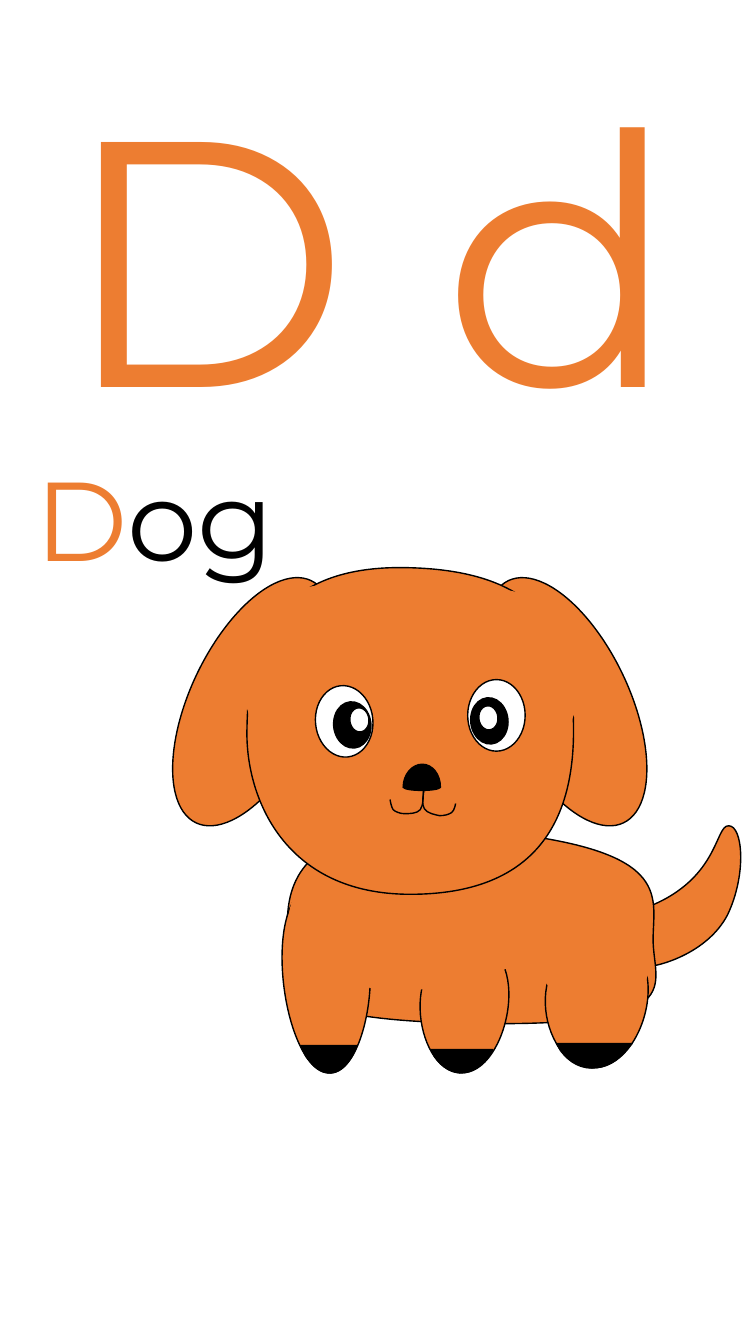
from lxml.etree import SubElement
from pptx import Presentation
from pptx.dml.color import RGBColor
from pptx.enum.shapes import MSO_SHAPE
from pptx.enum.text import MSO_AUTO_SIZE
from pptx.oxml.ns import qn
from pptx.util import Inches, Pt

ORANGE = RGBColor(0xED, 0x7D, 0x31)
BLACK = RGBColor(0, 0, 0)
WHITE = RGBColor(255, 255, 255)
STEPS = 20

# Outlines: a start point, then lines (x, y) or Bezier curves (three points).
TAIL = [(6.36, 9.02), (7.14, 8.75, 7.09, 8.18, 7.23, 8.19),
        (7.37, 8.19, 7.41, 8.67, 7.22, 9.07),
        (7.02, 9.46, 6.51, 9.6, 6.37, 9.59),
        (6.23, 9.58, 5.58, 9.29, 6.36, 9.02)]
BODY = [(2.85, 9.32), (2.86, 9, 2.7, 8.05, 4.7, 8.23),
        (6.71, 8.4, 6.48, 8.87, 6.48, 9.32),
        (6.48, 9.78, 6.88, 10.19, 4.67, 10.15),
        (2.45, 10.11, 2.85, 9.64, 2.85, 9.32)]
LEGS = [
    [(5.92, 10.59), (5.37, 10.65, 5.12, 9.42, 5.92, 9.32),
     (6.72, 9.23, 6.47, 10.54, 5.92, 10.59)],
    [(4.61, 10.64), (4.13, 10.7, 3.92, 9.47, 4.61, 9.37),
     (5.3, 9.28, 5.08, 10.59, 4.61, 10.64)],
    [(3.24, 10.64), (3.71, 10.72, 3.92, 8.92, 3.24, 8.78),
     (2.55, 8.63, 2.76, 10.55, 3.24, 10.64)],
]
CHEST = [(5.42, 9.19), (5.6, 8.4, 3.18, 7.83, 2.89, 8.98),
         (2.59, 10.13, 5.23, 9.98, 5.42, 9.19)]
HEAD = [(2.45, 7.25), (2.46, 6.6, 2.57, 5.61, 4.01, 5.63),
        (5.44, 5.65, 5.69, 6.36, 5.69, 7.25),
        (5.69, 8.15, 5.31, 8.87, 4.07, 8.87),
        (2.82, 8.87, 2.44, 7.91, 2.45, 7.25)]
# Patches that hide the seams at the ears and the hip.
SEAMS = [
    [(3.83, 6.78), (4.1, 5.96, 2.9, 5.26, 2.5, 6.45),
     (2.09, 7.64, 3.56, 7.6, 3.83, 6.78)],
    [(4.33, 6.83), (4.06, 6.01, 5.25, 5.3, 5.65, 6.49),
     (6.06, 7.68, 4.6, 7.64, 4.33, 6.83)],
    [(5.96, 10.02), (6.56, 9.99, 6.7, 9.03, 5.83, 9.08),
     (4.96, 9.12, 5.36, 10.06, 5.96, 10.02)],
]
PAWS = [
    [(4.28, 10.41), (4.89, 10.41), (4.84, 10.49),
     (4.77, 10.57, 4.69, 10.63, 4.6, 10.64),
     (4.49, 10.65, 4.39, 10.59, 4.31, 10.48), (4.28, 10.41)],
    [(5.52, 10.35), (6.27, 10.35), (6.2, 10.43),
     (6.12, 10.52, 6.02, 10.58, 5.92, 10.59),
     (5.77, 10.61, 5.65, 10.54, 5.56, 10.42), (5.52, 10.35)],
    [(3.54, 10.37), (2.98, 10.37), (3.03, 10.47),
     (3.09, 10.56, 3.16, 10.63, 3.24, 10.64),
     (3.35, 10.66, 3.44, 10.58, 3.51, 10.45), (3.54, 10.37)],
]
NOSE = [(4.37, 7.81), (4.37, 7.68, 4.29, 7.58, 4.19, 7.58),
        (4.09, 7.58, 4, 7.68, 4, 7.81),
        (4.03, 7.85, 4.34, 7.85, 4.37, 7.81)]
MOUTH = [
    [(4.21, 7.81), (4.2, 7.89, 4.18, 7.98, 4.21, 8.02),
     (4.24, 8.07, 4.32, 8.08, 4.36, 8.09),
     (4.41, 8.09, 4.45, 8.08, 4.48, 8.06),
     (4.51, 8.04, 4.52, 7.97, 4.52, 7.97)],
    [(4.2, 7.82), (4.2, 7.9, 4.2, 7.99, 4.17, 8.03),
     (4.14, 8.07, 4.06, 8.07, 4.01, 8.07),
     (3.97, 8.07, 3.92, 8.05, 3.9, 8.03),
     (3.88, 8, 3.87, 7.93, 3.87, 7.93)],
]
# Left, top, width, height, turn, fill.
EARS = [(4.99, 5.63, 1.25, 2.66, 334.6, ORANGE),
        (1.89, 5.63, 1.25, 2.66, 25.4, ORANGE)]
EYES = [(4.64, 6.74, 0.57, 0.71, 0, WHITE),
        (3.13, 6.8, 0.57, 0.71, 354.3, WHITE),
        (3.31, 6.96, 0.37, 0.46, 354.3, BLACK),
        (4.67, 6.92, 0.37, 0.46, 354.3, BLACK),
        (4.75, 7, 0.19, 0.24, 354.3, WHITE),
        (3.47, 7.02, 0.19, 0.24, 354.3, WHITE)]


def bounds(outline, axis):
    """Lowest and highest value that the outline reaches on an axis."""
    seen = [outline[0][axis]]
    for part in outline[1:]:
        a, ends = seen[-1], part[axis::2]
        if len(ends) == 3:
            b, c, d = ends
            for step in range(1, STEPS):
                t = step / STEPS
                u = 1 - t
                seen.append(u**3 * a + 3 * u * u * t * b
                            + 3 * u * t * t * c + t**3 * d)
        seen.append(ends[-1])
    return Inches(min(seen)), Inches(max(seen))


def paint(shape, fill, line):
    shape.shadow.inherit = False
    if fill is None:
        shape.fill.background()
    else:
        shape.fill.solid()
        shape.fill.fore_color.rgb = fill
    shape.line.color.rgb = line
    shape.line.width = Pt(1)


def add_curve(shapes, outline, fill=ORANGE, line=BLACK):
    """Draw an outline; without a fill it stays open."""
    (left, right), (top, bottom) = (bounds(outline, axis) for axis in (0, 1))
    pen = shapes.build_freeform(left, top)
    pen.add_line_segments([(right, bottom)], close=False)
    shape = pen.convert_to_shape()
    track = next(shape.element.iter(qn("a:path")))
    for node in list(track):
        track.remove(node)
    for i, part in enumerate(outline):
        tag = "cubicBezTo" if len(part) == 6 else "lnTo" if i else "moveTo"
        move = SubElement(track, qn(f"a:{tag}"))
        for x, y in zip(part[::2], part[1::2]):
            SubElement(move, qn("a:pt"), x=str(Inches(x) - left),
                       y=str(Inches(y) - top))
    if fill is not None:
        SubElement(track, qn("a:close"))
    paint(shape, fill, line)


def add_oval(shapes, left, top, width, height, turn, fill):
    box = map(Inches, (left, top, width, height))
    oval = shapes.add_shape(MSO_SHAPE.OVAL, *box)
    oval.rotation = turn
    paint(oval, fill, BLACK)


def add_word(shapes, box, size, parts):
    frame = shapes.add_textbox(*map(Inches, box)).text_frame
    frame.word_wrap = True
    frame.auto_size = MSO_AUTO_SIZE.SHAPE_TO_FIT_TEXT
    for text, color in parts:
        run = frame.paragraphs[0].add_run()
        run.text = text
        run.font.name = "Montserrat"
        run.font.size = Pt(size)
        run.font.color.rgb = color


def add_dog(shapes):
    add_curve(shapes, TAIL)
    for ear in EARS:
        add_oval(shapes, *ear)
    for outline in [BODY, *LEGS]:
        add_curve(shapes, outline)
    add_curve(shapes, CHEST, line=ORANGE)
    add_curve(shapes, HEAD)
    for seam in SEAMS:
        add_curve(shapes, seam, line=ORANGE)
    for paw in PAWS:
        add_curve(shapes, paw, BLACK)
    for eye in EYES:
        add_oval(shapes, *eye)
    add_curve(shapes, NOSE, BLACK)
    for lip in MOUTH:
        add_curve(shapes, lip, None)


def main():
    deck = Presentation()
    deck.slide_width = Inches(7.5)
    deck.slide_height = Inches(13.33)
    slide = deck.slides.add_slide(deck.slide_layouts[6])
    add_word(slide.shapes, (0.51, 0.32, 6.47, 4.31), 250, [("D d", ORANGE)])
    group = slide.shapes.add_group_shape().shapes
    add_dog(group)
    add_word(group, (0.25, 4.41, 2.81, 1.45), 80,
             [("D", ORANGE), ("og", BLACK)])
    deck.save("out.pptx")


if __name__ == "__main__":
    main()
